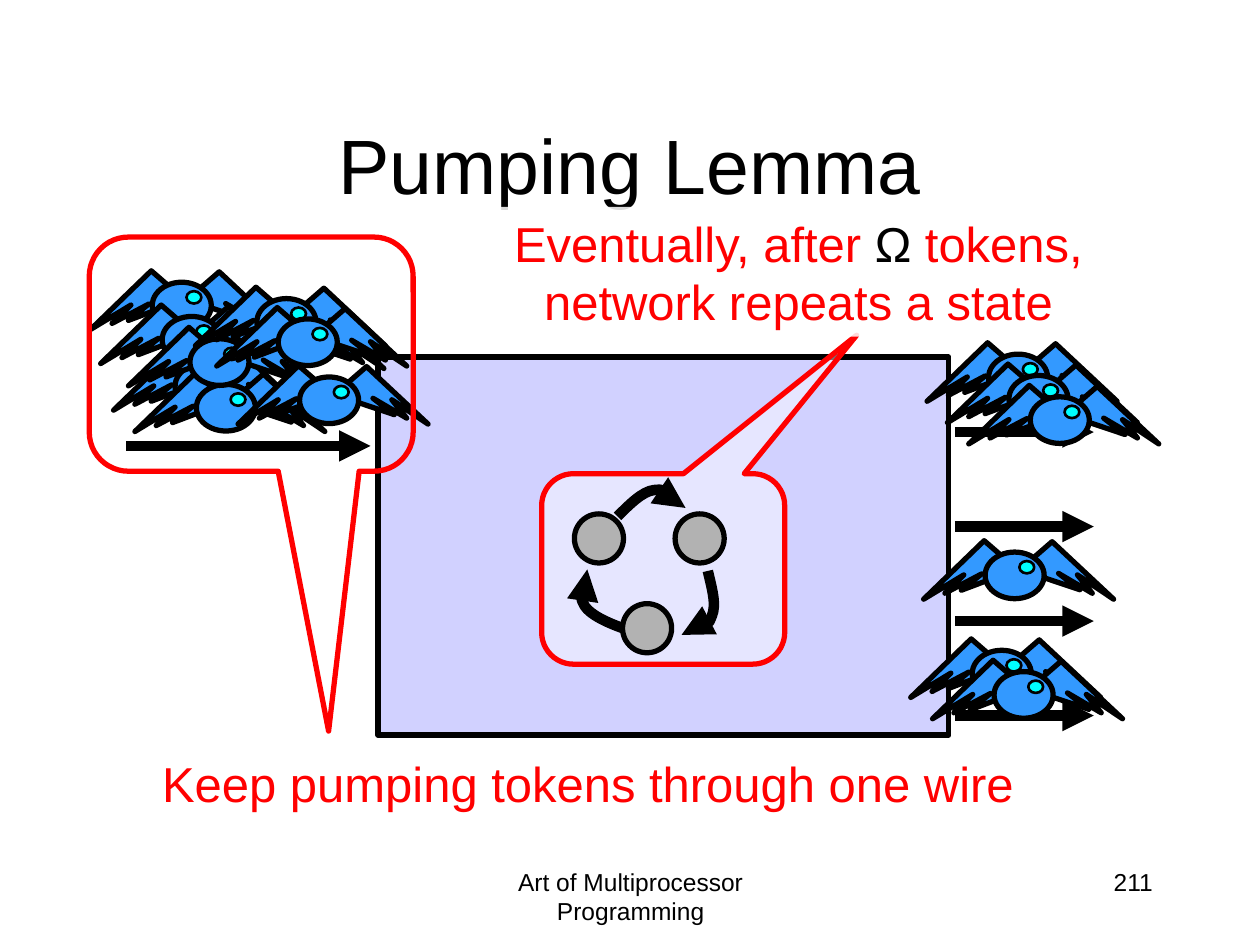
"""Build the Pumping Lemma slide: tokens pumped through one wire of a network."""
from lxml.etree import SubElement
from pptx import Presentation
from pptx.dml.color import RGBColor
from pptx.enum.shapes import MSO_CONNECTOR, MSO_SHAPE
from pptx.enum.text import MSO_ANCHOR, PP_ALIGN
from pptx.oxml.ns import qn
from pptx.util import Cm, Pt

THEME = {
    "font": "Arial", "title": 44, "caption": 28, "footer": 14,
    "black": "000000", "red": "FF0000", "white": "FFFFFF", "network": "CCCCFF",
    "token": "3399FF", "eye": "00FFFF", "state": "B2B2B2",
    "outline": 3, "thin": 1.5, "wire": 6,
}

TITLE = ("Pumping Lemma", (1.9, 1.7, 21.59, 3.18))
FOOTERS = [
    ("Art of Multiprocessor Programming", (8.69, 17.35, 8.05, 1.27), PP_ALIGN.CENTER),
    ("211", (18.21, 17.35, 5.28, 1.27), PP_ALIGN.RIGHT),
]
PUMPING = ([("Keep pumping tokens through one wire", "red")], (2.44, 15.06, 18.82, 1.45))
REPEATING = (
    [("Eventually, after ", "red"), ("Ω", "black"), (" tokens, network repeats a state", "red")],
    (8.97, 4.17, 14.25, 2.62),
)
NETWORK = (7.62, 7.2, 11.51, 7.62)
INPUT_WIRE = (2.54, 7.47, 8.99)
OUTPUT_WIRES = [(19.25, 22.05, 8.71 + 1.905 * row) for row in range(4)]

LEFT_WING = [(1.75, 0.46), (1.22, 0), (0, 1.18), (0.81, 0.69),
             (0.43, 1.06), (1.17, 0.67), (0.76, 1), (1.9, 0.57)]
RIGHT_WING = [(2.06, 0.48), (2.59, 0.02), (3.83, 1.18), (3.1, 0.69),
              (3.4, 1.06), (2.72, 0.66), (3.15, 0.99), (1.93, 0.58)]
TOKEN_BODY = (1.24, 0.23, 1.19, 0.94)
TOKEN_EYE = (1.93, 0.41, 0.3, 0.25)
WAITING_TOKENS = [(2.29, 7.09), (2.72, 7.52), (1.83, 5.46), (3.91, 6.25),
                  (2.03, 6.15), (2.59, 6.6), (4.8, 7.37)]
LATER_TOKENS = [(18.69, 6.91), (19.1, 7.34), (18.62, 10.9), (18.36, 12.88),
                (18.8, 13.31), (19.53, 7.77), (3.94, 5.79), (4.37, 6.2)]

INPUT_CALLOUT = ((1.8, 4.78, 6.53, 4.72), (0.239, 1.61, 0.167))
STATE_CALLOUT = ((10.92, 9.55, 4.9, 3.84), (0.796, -1.227, 0.167))
STATE_SIZE = 0.99
STATES = [(11.58, 10.36), (13.61, 10.36), (12.55, 12.17)]
TRANSITIONS = [
    [(12.45, 10.41), (12.7, 10.16), (12.95, 9.91), (13.18, 9.88),
     (13.41, 9.86), (13.61, 10.06), (13.82, 10.24)],
    [(14.27, 11.51), (14.35, 11.86), (14.45, 12.19), (14.35, 12.42),
     (14.27, 12.62), (14, 12.7), (13.74, 12.8)],
    [(12.57, 12.67), (12.24, 12.55), (11.91, 12.4), (11.79, 12.22),
     (11.68, 12.01), (11.76, 11.76), (11.84, 11.48)],
]


def lengths(values):
    return [Cm(value) for value in values]


def color(name):
    return RGBColor.from_string(THEME[name])


def stroke(line, name, weight):
    line.color.rgb = color(name)
    line.width = Pt(THEME[weight])


def paint(shape, fill=None, line=None, weight="outline", opacity=100):
    shape.shadow.inherit = False
    if fill:
        shape.fill.solid()
        shape.fill.fore_color.rgb = color(fill)
        if opacity < 100:
            paint_color = shape.fill._xPr.find(".//" + qn("a:srgbClr"))
            SubElement(paint_color, qn("a:alpha"), val=str(opacity * 1000))
    else:
        shape.fill.background()
    if line:
        stroke(shape.line, line, weight)
    else:
        shape.line.fill.background()


def add_preset(shapes, kind, box, **style):
    shape = shapes.add_shape(kind, *lengths(box))
    paint(shape, **style)
    return shape


def add_outline(shapes, points, close):
    start, *rest = [tuple(lengths(point)) for point in points]
    builder = shapes.build_freeform(*start)
    builder.add_line_segments(rest, close=close)
    return builder.convert_to_shape()


def add_arrowhead(line):
    SubElement(line._get_or_add_ln(), qn("a:tailEnd"), type="triangle")


def add_wire(shapes, left, right, y):
    wire = shapes.add_connector(MSO_CONNECTOR.STRAIGHT, *lengths((left, y, right, y)))
    stroke(wire.line, "black", "wire")
    add_arrowhead(wire.line)
    SubElement(wire._element.spPr, qn("a:effectLst"))


def add_token(shapes, x, y):
    token = shapes.add_group_shape().shapes
    for wing in (LEFT_WING, RIGHT_WING):
        outline = add_outline(token, [(x + dx, y + dy) for dx, dy in wing], True)
        paint(outline, "token", "black")
    for (dx, dy, *size), fill, weight in ((TOKEN_BODY, "token", "outline"),
                                          (TOKEN_EYE, "eye", "thin")):
        add_preset(token, MSO_SHAPE.OVAL, (x + dx, y + dy, *size),
                   fill=fill, line="black", weight=weight)


def add_callout(shapes, box, adjustments, **style):
    callout = add_preset(shapes, MSO_SHAPE.ROUNDED_RECTANGULAR_CALLOUT, box, line="red", **style)
    for index, value in enumerate(adjustments):
        callout.adjustments[index] = value


def add_transition(shapes, points):
    transition = add_outline(shapes, points, False)
    curve = transition._element.spPr.find(".//" + qn("a:path"))
    segments = curve.findall(qn("a:lnTo"))
    for first in range(0, len(segments), 3):
        bend = SubElement(curve, qn("a:cubicBezTo"))
        for segment in segments[first:first + 3]:
            bend.append(segment[0])
            curve.remove(segment)
    paint(transition, line="black", weight="wire")
    add_arrowhead(transition.line)


def style_runs(paragraph, size, names, align):
    paragraph.alignment = align
    for run, name in zip(paragraph.runs, names):
        run.font.name = THEME["font"]
        run.font.size = Pt(THEME[size])
        run.font.color.rgb = color(name)


def add_caption(shapes, parts, box):
    caption = add_preset(shapes, MSO_SHAPE.RECTANGLE, box, fill="white", opacity=85)
    frame = caption.text_frame
    frame.word_wrap = True
    frame.vertical_anchor = MSO_ANCHOR.TOP
    paragraph = frame.paragraphs[0]
    for words, _ in parts:
        paragraph.add_run().text = words
    style_runs(paragraph, "caption", [name for _, name in parts], PP_ALIGN.CENTER)


def main():
    deck = Presentation()
    deck.slide_width, deck.slide_height = lengths((25.4, 19.05))
    slide = deck.slides.add_slide(deck.slide_layouts[5])
    shapes = slide.shapes

    title = shapes.title
    words, box = TITLE
    title.left, title.top, title.width, title.height = lengths(box)
    title.text_frame.text = words
    title.text_frame.vertical_anchor = MSO_ANCHOR.MIDDLE
    style_runs(title.text_frame.paragraphs[0], "title", ["black"], PP_ALIGN.CENTER)

    for words, box, align in FOOTERS:
        frame = shapes.add_textbox(*lengths(box)).text_frame
        frame.word_wrap = True
        frame.text = words
        style_runs(frame.paragraphs[0], "footer", ["black"], align)

    add_preset(shapes, MSO_SHAPE.RECTANGLE, NETWORK, fill="network", line="black", opacity=90)
    add_wire(shapes, *INPUT_WIRE)
    for corner in WAITING_TOKENS:
        add_token(shapes, *corner)
    for wire in OUTPUT_WIRES:
        add_wire(shapes, *wire)
    for corner in LATER_TOKENS:
        add_token(shapes, *corner)

    add_callout(shapes, *INPUT_CALLOUT)
    add_caption(shapes, *PUMPING)
    add_callout(shapes, *STATE_CALLOUT, fill="white", opacity=46)
    add_caption(shapes, *REPEATING)
    for corner in STATES:
        add_preset(shapes, MSO_SHAPE.OVAL, (*corner, STATE_SIZE, STATE_SIZE),
                   fill="state", line="black")
    for points in TRANSITIONS:
        add_transition(shapes, points)
    deck.save("out.pptx")


if __name__ == "__main__":
    main()
